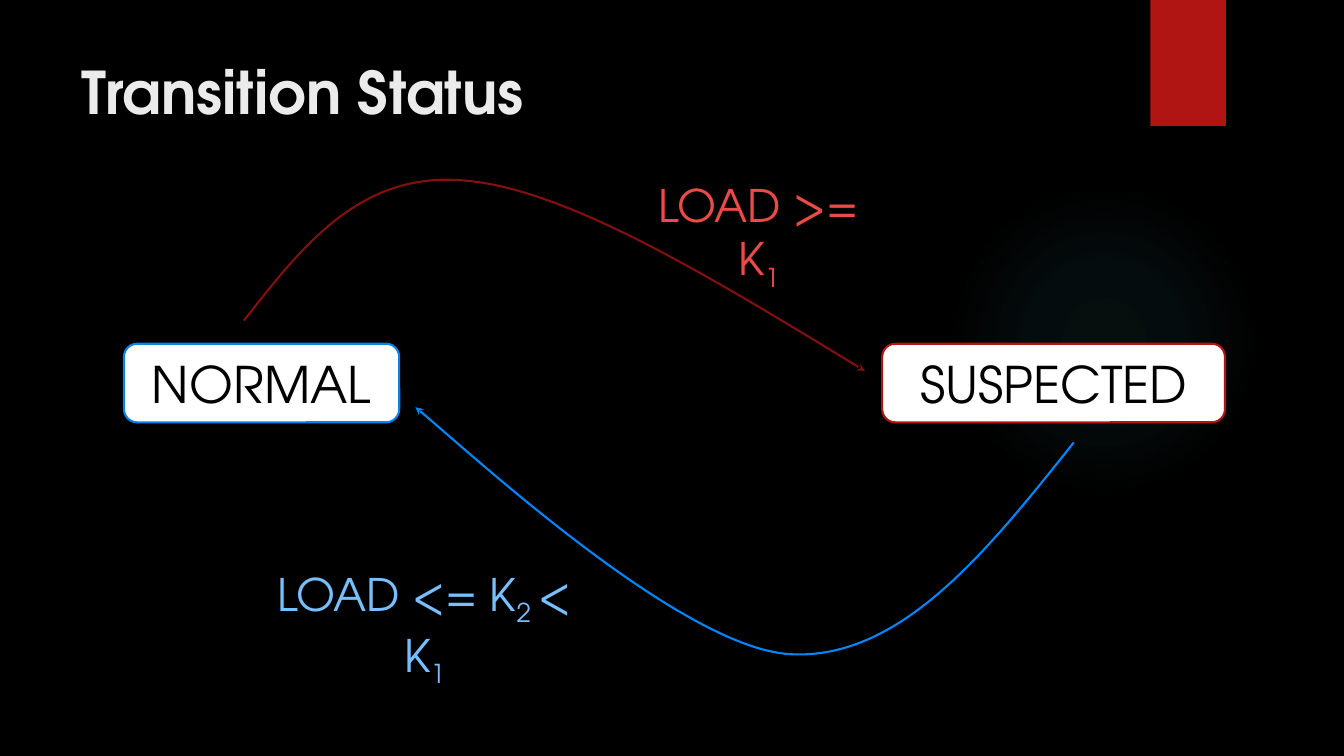
"""Build the Transition Status slide with its two states and transitions."""
from dataclasses import dataclass

import lxml.etree
import pptx
import pptx.dml.color
import pptx.enum.shapes
import pptx.enum.text
import pptx.oxml
import pptx.oxml.ns
import pptx.util

Inches = pptx.util.Inches
SHAPES = pptx.enum.shapes.MSO_SHAPE
ALIGN = pptx.enum.text.PP_ALIGN
ANCHOR = pptx.enum.text.MSO_ANCHOR
qn = pptx.oxml.ns.qn

FONT = "TeX Gyre Adventor"
UNITS_PER_INCH = 100
COLORS = {
    "background": "000000",
    "glow": "50B9C1",
    "red": "B01513",
    "title": "EBEBEB",
    "white": "FFFFFF",
    "black": "000000",
    "normal_line": "0983EA",
    "rise_arrow": "82100E",
    "fall_arrow": "0186FF",
    "rise_text": "EB4B47",
    "fall_text": "79BFFF",
}
GLOW_STOPS = ((0, 7), (36, 6), (69, 0), (100, 0))

Point = tuple[float, float]
Box = tuple[float, float, float, float]


@dataclass(frozen=True)
class State:
    name: str
    box: Box
    line: str


@dataclass(frozen=True)
class Label:
    box: Box
    runs: tuple[tuple[str, bool], ...]
    size: int
    color: str
    align: ALIGN = ALIGN.CENTER
    bold: bool = False


@dataclass(frozen=True)
class Curve:
    start: Point
    segments: tuple[tuple[Point, Point, Point], ...]
    color: str


STATES = (
    State("NORMAL", (1.23, 3.41, 2.73, 0.78), "normal_line"),
    State("SUSPECTED", (8.75, 3.41, 3.4, 0.78), "red"),
)
CURVES = (
    Curve((2.42, 3.18), (((3, 2.44), (3.57, 1.7), (4.6, 1.79)),
                         ((5.62, 1.87), (7.1, 2.78), (8.58, 3.68))), "rise_arrow"),
    Curve((10.65, 4.39), (((9.79, 5.47), (8.93, 6.55), (7.84, 6.49)),
                          ((6.75, 6.43), (4.51, 4.35), (4.12, 4.04))), "fall_arrow"),
)
LABELS = (
    Label((0.71, 0.5, 10.29, 1.53), (("Transition Status", False),), 42, "title", ALIGN.LEFT, True),
    Label((6.18, 1.71, 2.69, 0.64), (("LOAD >= K", False), ("1", True)), 32, "rise_text"),
    Label((2.41, 5.57, 3.6, 0.64),
          (("LOAD <= K", False), ("2 ", True), ("< K", False), ("1", True)), 32, "fall_text"),
)


def rgb(name: str) -> pptx.dml.color.RGBColor:
    return pptx.dml.color.RGBColor.from_string(COLORS[name])


def add_block(slide, kind: SHAPES, box: Box, fill: str, line: str | None = None):
    shape = slide.shapes.add_shape(kind, *map(Inches, box))
    shape.shadow.inherit = False
    shape.fill.solid()
    shape.fill.fore_color.rgb = rgb(fill)
    if line:
        shape.line.color.rgb = rgb(line)
        shape.line.width = pptx.util.Pt(1.5)
    else:
        shape.line.fill.background()
    return shape


def style_paragraph(paragraph, size: int, color: str, align: ALIGN, bold: bool = False) -> None:
    paragraph.alignment = align
    paragraph.font.name = FONT
    paragraph.font.size = pptx.util.Pt(size)
    paragraph.font.bold = bold
    paragraph.font.color.rgb = rgb(color)


def add_glow(slide) -> None:
    shape = add_block(slide, SHAPES.OVAL, (9.41, 1.83, 3.08, 3.08), "glow")
    stops = "".join(
        f'<a:gs pos="{position * 1000}"><a:srgbClr val="{COLORS["glow"]}">'
        f'<a:alpha val="{alpha * 1000}"/></a:srgbClr></a:gs>'
        for position, alpha in GLOW_STOPS
    )
    gradient = pptx.oxml.parse_xml(
        f'<a:gradFill {pptx.oxml.ns.nsdecls("a")} rotWithShape="1"><a:gsLst>{stops}</a:gsLst>'
        '<a:path path="circle"><a:fillToRect l="50000" t="50000" r="50000" b="50000"/></a:path>'
        "</a:gradFill>"
    )
    properties = shape._element.spPr
    properties.replace(properties.find(qn("a:solidFill")), gradient)


def add_state(slide, state: State) -> None:
    shape = add_block(slide, SHAPES.ROUNDED_RECTANGLE, state.box, "white", state.line)
    frame = shape.text_frame
    frame.word_wrap = True
    frame.vertical_anchor = ANCHOR.MIDDLE
    frame.text = state.name
    style_paragraph(frame.paragraphs[0], 36, "black", ALIGN.CENTER)


def add_label(slide, label: Label) -> None:
    frame = slide.shapes.add_textbox(*map(Inches, label.box)).text_frame
    frame.word_wrap = True
    paragraph = frame.paragraphs[0]
    style_paragraph(paragraph, label.size, label.color, label.align, label.bold)
    for text, subscript in label.runs:
        run = paragraph.add_run()
        run.text = text
        if subscript:
            run._r.get_or_add_rPr().set("baseline", "-25000")


def add_curve(slide, curve: Curve) -> None:
    anchors = [curve.start] + [segment[-1] for segment in curve.segments]
    left, top = (min(values) for values in zip(*anchors))
    scaled = [(round(x * UNITS_PER_INCH), round(y * UNITS_PER_INCH)) for x, y in anchors]
    builder = slide.shapes.build_freeform(*scaled[0], scale=Inches(1) / UNITS_PER_INCH)
    builder.add_line_segments(scaled[1:], close=False)
    shape = builder.convert_to_shape()
    shape.shadow.inherit = False
    shape.fill.background()
    shape.line.color.rgb = rgb(curve.color)
    shape.line.width = pptx.util.Pt(1.5)

    straight_parts = list(shape._element.spPr.iter(qn("a:lnTo")))
    for straight, segment in zip(straight_parts, curve.segments):
        bezier = lxml.etree.Element(qn("a:cubicBezTo"))
        for x, y in segment:
            lxml.etree.SubElement(
                bezier, qn("a:pt"),
                x=str(round((x - left) * UNITS_PER_INCH)),
                y=str(round((y - top) * UNITS_PER_INCH)),
            )
        straight.getparent().replace(straight, bezier)
    outline = shape._element.spPr.find(qn("a:ln"))
    lxml.etree.SubElement(outline, qn("a:tailEnd"), type="stealth")


def main() -> None:
    presentation = pptx.Presentation()
    presentation.slide_width = Inches(13.33)
    presentation.slide_height = Inches(7.5)
    slide = presentation.slides.add_slide(presentation.slide_layouts[6])
    slide.background.fill.solid()
    slide.background.fill.fore_color.rgb = rgb("background")

    add_glow(slide)
    add_block(slide, SHAPES.RECTANGLE, (11.41, 0, 0.75, 1.25), "red")
    for state in STATES:
        add_state(slide, state)
    for curve in CURVES:
        add_curve(slide, curve)
    for label in LABELS:
        add_label(slide, label)
    presentation.save("out.pptx")


if __name__ == "__main__":
    main()
